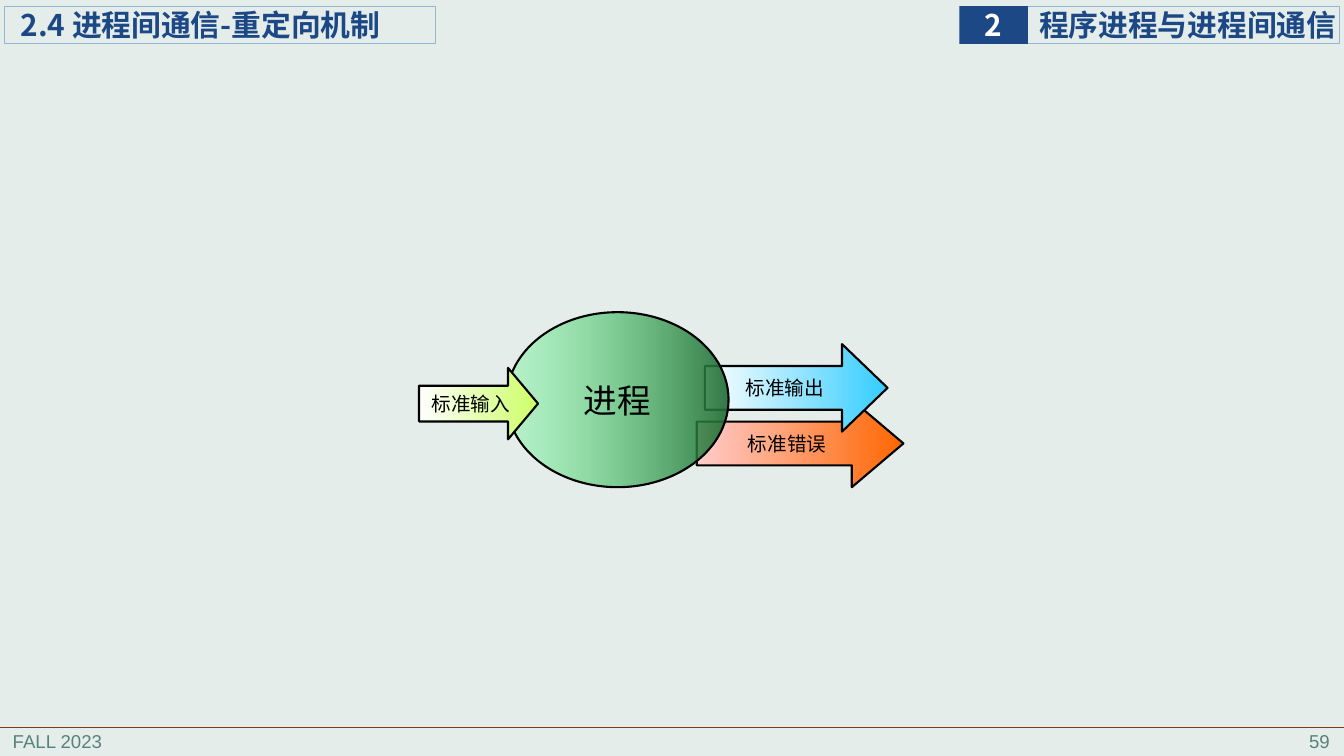
from lxml import etree
from pptx import Presentation
from pptx import util as u
from pptx.dml import color
from pptx.enum import shapes, text
from pptx.oxml import ns

Pt = u.Pt
SHAPE = shapes.MSO_SHAPE
ALIGN = text.PP_ALIGN
CJK_FONT = "Noto Sans CJK SC"

COLORS = {
    "background": "E5EDEB",
    "footer": "578279",
    "rule": "7B3D17",
    "navy": "1C4885",
    "frame": "94B6D2",
    "white": "FFFFFF",
    "black": "000000",
    "pink": "FFCCCC",
    "orange": "FF6600",
    "sky": "33CCFF",
    "lime": "CCFF66",
    "mint": "51FD7E",
    "forest": "236D36",
}


def rgb(name):
    return color.RGBColor.from_string(COLORS[name])


def write(shape, words, size, font, ink, align=ALIGN.LEFT, bold=False):
    para = shape.text_frame.paragraphs[0]
    para.alignment = align
    span = para.add_run()
    span.text = words
    span.font.size = Pt(size)
    span.font.name = font
    span.font.bold = bold
    span.font.color.rgb = rgb(ink)
    east_asian = etree.SubElement(span.font._element, ns.qn("a:ea"))
    east_asian.set("typeface", CJK_FONT)


def add_footer(slide, left, words, align):
    box = slide.shapes.add_textbox(Pt(left), Pt(517.7), Pt(200), Pt(22.3))
    box.text_frame.word_wrap = True
    write(box, words, 13.3, "Arial", "footer", align)


def add_header(slide, left, top, width, height, words, inset=0, badge=False):
    """Framed heading, or a filled number badge."""
    box = slide.shapes.add_shape(SHAPE.RECTANGLE, Pt(left), Pt(top), Pt(width), Pt(height))
    box.shadow.inherit = False
    if badge:
        box.fill.solid()
        box.fill.fore_color.rgb = rgb("navy")
        box.line.fill.background()
    else:
        box.fill.background()
        box.line.color.rgb = rgb("frame")
        box.line.width = Pt(0.75)
    frame = box.text_frame
    frame.word_wrap = not badge
    frame.vertical_anchor = text.MSO_ANCHOR.MIDDLE
    frame.margin_left = Pt(inset)
    frame.margin_right = frame.margin_top = frame.margin_bottom = 0
    write(box, words, 21.3, CJK_FONT, "white" if badge else "navy",
          ALIGN.CENTER if badge else ALIGN.LEFT, bold=True)


def add_rule(slide):
    rule = slide.shapes.add_connector(
        shapes.MSO_CONNECTOR.STRAIGHT, Pt(-2), Pt(519.3), Pt(960), Pt(519.3))
    rule.line.color.rgb = rgb("rule")
    rule.line.width = Pt(0.5)
    etree.SubElement(rule._element.spPr, ns.qn("a:effectLst"))


def add_node(slide, kind, place, ends, words, size, font, alphas=()):
    """Outlined shape with a left-to-right gradient and a centred label."""
    node = slide.shapes.add_shape(kind, *map(Pt, place))
    node.shadow.inherit = False
    node.fill.gradient()
    node.fill.gradient_angle = 0
    for stop, name in zip(node.fill.gradient_stops, ends):
        stop.color.rgb = rgb(name)
    for stop, percent in zip(node._element.iter(ns.qn("a:gs")), alphas):
        etree.SubElement(stop[0], ns.qn("a:alpha")).set("val", str(percent * 1000))
    node.line.color.rgb = rgb("black")
    node.line.width = Pt(1.5)
    node.text_frame.word_wrap = False
    node.text_frame.vertical_anchor = text.MSO_ANCHOR.MIDDLE
    write(node, words, size, font, "black", ALIGN.CENTER)
    return node


def add_stream(slide, place, head, ends, words):
    arrow = add_node(slide, SHAPE.RIGHT_ARROW, place, ends, words, 14, "Calibri")
    arrow.adjustments[0] = 0.5
    arrow.adjustments[1] = head


def main():
    deck = Presentation()
    deck.slide_width, deck.slide_height = Pt(960), Pt(540)
    slide = deck.slides.add_slide(deck.slide_layouts[6])
    slide.background.fill.solid()
    slide.background.fill.fore_color.rgb = rgb("background")

    add_footer(slide, 2, "FALL 2023", ALIGN.LEFT)
    add_footer(slide, 757, "59", ALIGN.RIGHT)
    add_header(slide, 733.7, 4.8, 223.2, 26.2, "程序进程与进程间通信", inset=8.5)
    add_header(slide, 685.4, 4.4, 48.8, 27, "2", badge=True)
    add_rule(slide)
    add_header(slide, 3.4, 4.8, 307.6, 26.2, "2.4 进程间通信-重定向机制", inset=11.3)

    add_stream(slide, (497.7, 285.5, 147.6, 62.5), 0.59, ("pink", "orange"), "标准错误")
    add_stream(slide, (503.5, 245.8, 130.5, 62.5), 0.52, ("white", "sky"), "标准输出")
    add_node(slide, SHAPE.OVAL, (361.8, 223, 158.6, 125), ("mint", "forest"),
             "进程", 24, "Arial", alphas=(29, 92))
    add_stream(slide, (299.3, 262.8, 85, 51), 0.42, ("white", "lime"), "标准输入")
    deck.save("out.pptx")


if __name__ == "__main__":
    main()
